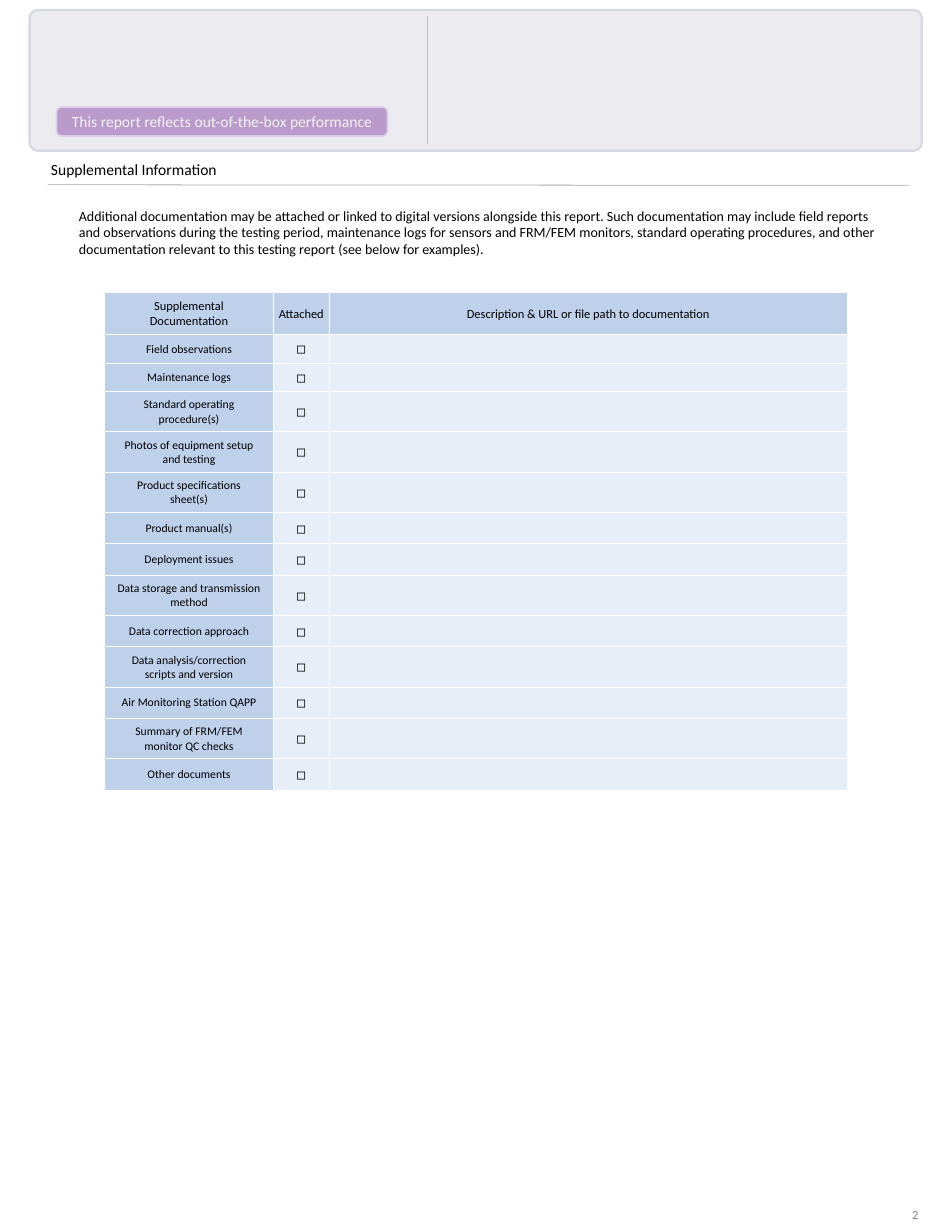
from typing import NamedTuple

from lxml import etree
from pptx import Presentation
from pptx.dml.color import RGBColor
from pptx.enum.shapes import MSO_CONNECTOR, MSO_SHAPE
from pptx.enum.text import MSO_ANCHOR, MSO_AUTO_SIZE, PP_ALIGN
from pptx.oxml import parse_xml
from pptx.oxml.ns import nsdecls, qn
from pptx.util import Inches, Pt

FONT = "Calibri"
BLACK = RGBColor(0x00, 0x00, 0x00)
WHITE = RGBColor(0xFF, 0xFF, 0xFF)
PAGE_GREY = RGBColor(0x80, 0x80, 0x80)
DIVIDER_GREY = RGBColor(0xBF, 0xBF, 0xBF)
RULE_GREY = RGBColor(0xAF, 0xAB, 0xAB)
BANNER_FILL = RGBColor(0xEC, 0xEC, 0xF0)
BANNER_LINE = RGBColor(0xD6, 0xD8, 0xE2)
BADGE_FILL = RGBColor(0xBA, 0x9A, 0xCA)
BADGE_LINE = RGBColor(0xDD, 0xCE, 0xEA)
BADGE_TEXT = RGBColor(0xF2, 0xF2, 0xF2)
HEADER_BLUE = RGBColor(0xBF, 0xD0, 0xEB)
BODY_BLUE = RGBColor(0xE8, 0xEE, 0xF8)

INTRO = (
    "Additional documentation may be attached or linked to digital versions alongside "
    "this report. Such documentation may include field reports and observations during "
    "the testing period, maintenance logs for sensors and FRM/FEM monitors, standard "
    "operating procedures, and other documentation relevant to this testing report "
    "(see below for examples)."
)
CHECKBOX = "\u25fb"
HEADINGS = (
    "Supplemental Documentation",
    "Attached",
    "Description & URL or file path to documentation",
)
COLUMN_WIDTHS = (3.01, 1, 9.25)
HEADING_HEIGHT = 0.74
ONE_LINE, TWO_LINES = 0.56, 0.72
LABEL_MARGINS = (0.22, 0.11, 0.22, 0.11)
NARROW_MARGINS = (0.02, 0.02, 0.02, 0)


class Box(NamedTuple):
    """Left, top, width and height in inches."""
    left: float
    top: float
    width: float
    height: float

    def emu(self) -> list[Inches]:
        """Return the four lengths for python-pptx."""
        return [Inches(length) for length in self]


class Document(NamedTuple):
    """One row of the documentation table."""
    name: str
    height: float = ONE_LINE


DOCUMENTS = (
    Document("Field observations", 0.52),
    Document("Maintenance logs", 0.5),
    Document("Standard operating procedure(s)", TWO_LINES),
    Document("Photos of equipment setup and testing", TWO_LINES),
    Document("Product specifications sheet(s)", TWO_LINES),
    Document("Product manual(s)"),
    Document("Deployment issues"),
    Document("Data storage and transmission method", TWO_LINES),
    Document("Data correction approach"),
    Document("Data analysis/correction scripts and version", TWO_LINES),
    Document("Air Monitoring Station QAPP"),
    Document("Summary of FRM/FEM monitor QC checks", TWO_LINES),
    Document("Other documents"),
)


def write(frame, text: str, size: float, color: RGBColor = BLACK, align=PP_ALIGN.LEFT):
    """Put one formatted paragraph in a text frame and return it."""
    paragraph = frame.paragraphs[0]
    paragraph.alignment = align
    run = paragraph.add_run()
    run.text = text
    run.font.name, run.font.size = FONT, Pt(size)
    run.font.color.rgb = color
    return paragraph


def add_text(slide, box: Box, text: str, size: float, color: RGBColor = BLACK):
    """Add a wrapping text box and return its paragraph."""
    frame = slide.shapes.add_textbox(*box.emu()).text_frame
    frame.word_wrap = True
    return write(frame, text, size, color)


def add_panel(slide, box: Box, fill: RGBColor, line: RGBColor, weight: float, corner: float):
    """Add a rounded rectangle with a coloured outline."""
    panel = slide.shapes.add_shape(MSO_SHAPE.ROUNDED_RECTANGLE, *box.emu())
    panel.shadow.inherit = False
    panel.adjustments[0] = corner
    panel.fill.solid()
    panel.fill.fore_color.rgb = fill
    panel.line.color.rgb = line
    panel.line.width = Pt(weight)
    return panel


def add_line(slide, x1: float, y1: float, x2: float, y2: float, color: RGBColor) -> None:
    """Add a thin straight line without a shadow."""
    ends = [Inches(value) for value in (x1, y1, x2, y2)]
    line = slide.shapes.add_connector(MSO_CONNECTOR.STRAIGHT, *ends)
    line.line.color.rgb = color
    line.line.width = Pt(1)
    etree.SubElement(line._element.spPr, qn("a:effectLst"))


def add_title(slide, box: Box, text: str) -> None:
    """Place and format the title placeholder."""
    title = slide.shapes.title
    title.left, title.top, title.width, title.height = box.emu()
    frame = title.text_frame
    frame.auto_size = MSO_AUTO_SIZE.NONE
    frame.vertical_anchor = MSO_ANCHOR.TOP
    write(frame, text, 20)


def style_cell(cell, fill: RGBColor, margins: tuple, text: str = "", size: float = 16) -> None:
    """Fill a cell, border it in white and write its centred text."""
    properties = cell._tc.get_or_add_tcPr()
    for side in ("lnL", "lnR", "lnT", "lnB"):
        properties.append(parse_xml(
            f'<a:{side} {nsdecls("a")} w="{Pt(1.5)}"><a:solidFill>'
            f'<a:srgbClr val="{WHITE}"/></a:solidFill></a:{side}>'))
    cell.fill.solid()
    cell.fill.fore_color.rgb = fill
    cell.vertical_anchor = MSO_ANCHOR.MIDDLE
    (cell.margin_left, cell.margin_top,
     cell.margin_right, cell.margin_bottom) = map(Inches, margins)
    if text:
        write(cell.text_frame, text, size, align=PP_ALIGN.CENTER)


def add_document_table(slide, left: float, top: float) -> None:
    """Add the table of supplemental documents."""
    heights = [HEADING_HEIGHT, *(document.height for document in DOCUMENTS)]
    box = Box(left, top, sum(COLUMN_WIDTHS), sum(heights))
    table = slide.shapes.add_table(len(heights), len(COLUMN_WIDTHS), *box.emu()).table
    table.horz_banding = False
    for column, width in zip(table.columns, COLUMN_WIDTHS):
        column.width = Inches(width)
    for row, height in zip(table.rows, heights):
        row.height = Inches(height)

    for column, heading in enumerate(HEADINGS):
        margins = NARROW_MARGINS if column else LABEL_MARGINS
        style_cell(table.cell(0, column), HEADER_BLUE, margins, heading)
    for row, document in enumerate(DOCUMENTS, start=1):
        style_cell(table.cell(row, 0), HEADER_BLUE, LABEL_MARGINS, document.name, 15)
        style_cell(table.cell(row, 1), BODY_BLUE, NARROW_MARGINS, CHECKBOX, 20)
        style_cell(table.cell(row, 2), BODY_BLUE, NARROW_MARGINS)


def main() -> None:
    """Build the slide and save it."""
    deck = Presentation()
    deck.slide_width, deck.slide_height = Inches(17), Inches(22)
    slide = deck.slides.add_slide(deck.slide_layouts[5])

    add_panel(slide, Box(0.53, 0.18, 15.93, 2.51), BANNER_FILL, BANNER_LINE, 3, 0.055)
    add_line(slide, 7.63, 0.28, 7.63, 2.57, DIVIDER_GREY)
    badge = add_panel(slide, Box(1.01, 1.91, 5.91, 0.52), BADGE_FILL, BADGE_LINE, 2.25, 0.167)
    badge.text_frame.vertical_anchor = MSO_ANCHOR.MIDDLE
    write(badge.text_frame, "This report reflects out-of-the-box performance", 20,
          BADGE_TEXT, PP_ALIGN.CENTER)

    add_title(slide, Box(0.81, 2.81, 3.5, 0.44), "Supplemental Information")
    add_line(slide, 0.85, 3.3, 16.24, 3.31, RULE_GREY)
    intro = add_text(slide, Box(0.81, 3.65, 15.02, 1.28), INTRO, 18)
    intro._p.get_or_add_pPr().set("marL", str(Inches(0.5)))
    add_document_table(slide, 1.87, 5.22)
    add_text(slide, Box(16.19, 21.5, 0.81, 0.5), "2", 16, PAGE_GREY)

    deck.save("out.pptx")


main()
